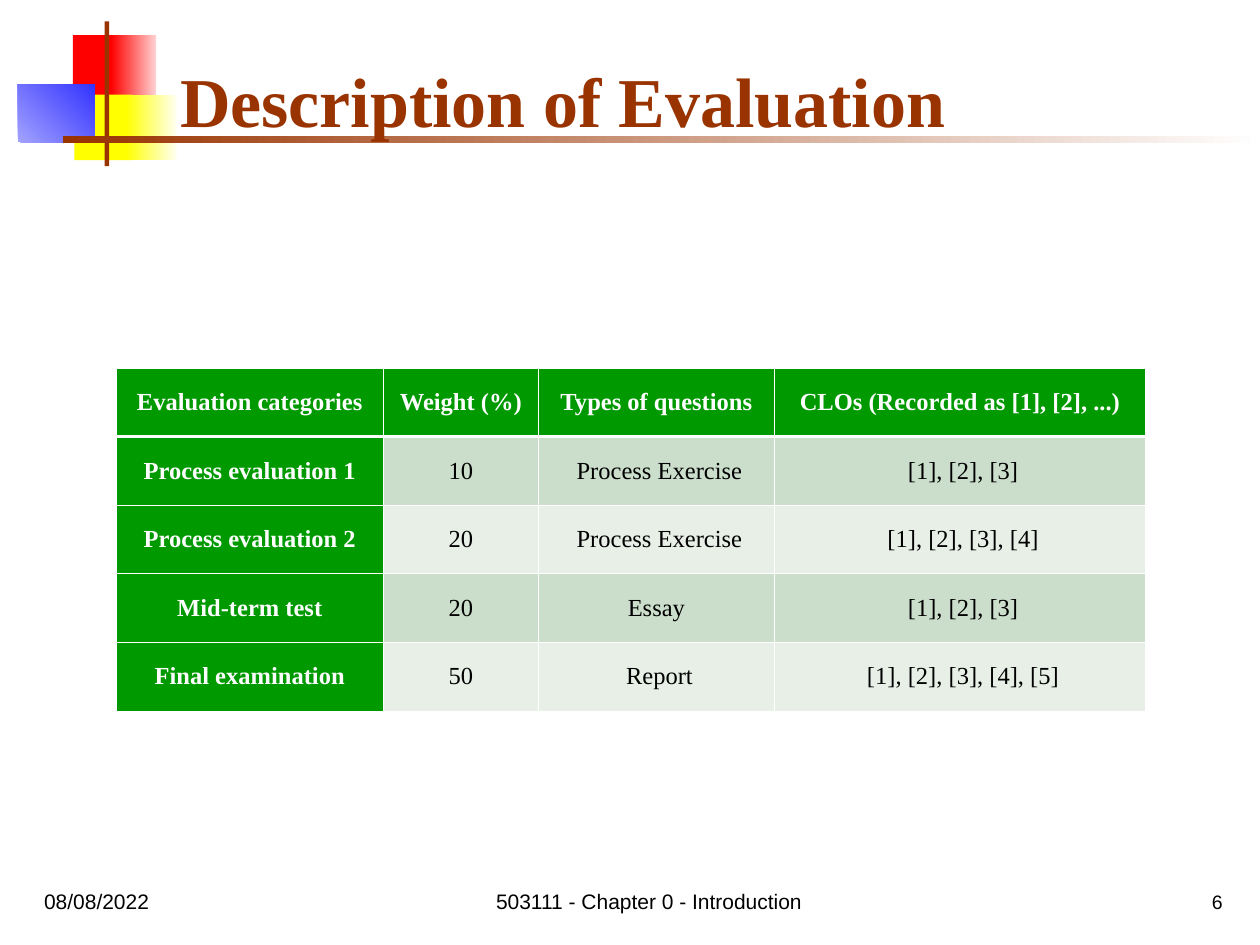
import pptx
import pptx.util
import pptx.dml.color
import pptx.enum.shapes
import pptx.enum.text
import pptx.oxml
import pptx.oxml.ns

Cm = pptx.util.Cm
Pt = pptx.util.Pt
ALIGN = pptx.enum.text.PP_ALIGN
ANCHOR = pptx.enum.text.MSO_ANCHOR
SERIF, SANS = "Times New Roman", "Arial"
BROWN, GREEN, WHITE, BLACK = "993300", "009900", "FFFFFF", "000000"
BANDS = ["CBDECB", "E7EFE7"]

ROWS = [
    ["Evaluation categories", "Weight (%)", "Types of questions",
     "CLOs (Recorded as [1], [2], ...)"],
    ["Process evaluation 1", "10", " Process Exercise", " [1], [2], [3]"],
    ["Process evaluation 2", "20", " Process Exercise", " [1], [2], [3], [4]"],
    ["Mid-term test", "20", "Essay", " [1], [2], [3]"],
    ["Final examination", "50", " Report", " [1], [2], [3], [4], [5]"],
]
# Column widths as shares of the table width
SHARES = [0.26, 0.15, 0.23, 0.36]


def color(code):
    return pptx.dml.color.RGBColor.from_string(code)


def write(frame, text, size=12, font=SANS, ink=BLACK, bold=False,
          align=ALIGN.LEFT, space=None):
    para = frame.paragraphs[0]
    para.alignment = align
    if space:
        para.line_spacing = space
    run = para.add_run()
    run.text = text
    run.font.size = Pt(size)
    run.font.name = font
    run.font.bold = bold
    run.font.color.rgb = color(ink)


def label(slide, box, text, anchor=ANCHOR.TOP, **style):
    frame = slide.shapes.add_textbox(*map(Cm, box)).text_frame
    frame.word_wrap = True
    frame.vertical_anchor = anchor
    write(frame, text, **style)


def block(slide, box, first, last=None, angle=0):
    """Draw a bare rectangle, shaded from first to last if both are given."""
    shape = slide.shapes.add_shape(
        pptx.enum.shapes.MSO_SHAPE.RECTANGLE, *map(Cm, box))
    shape.shadow.inherit = False
    shape.line.fill.background()
    if last is None:
        shape.fill.solid()
        shape.fill.fore_color.rgb = color(first)
        return
    shape.fill.gradient()
    shape.fill.gradient_angle = angle
    for stop, code in zip(shape.fill.gradient_stops, (first, last)):
        stop.color.rgb = color(code)


def header(slide, box, title):
    left, top, width, height = box
    # Coloured squares, offset from the corner of the header
    parts = [
        (1.11, 0.28, 0.89, 1.32, "FF0000"),
        (1.88, 0.28, 0.91, 1.32, "FF0000", "FFD1D1"),
        (1.14, 1.48, 1.17, 1.32, "FFFF00"),
        (2.18, 1.48, 1.02, 1.32, "FFFF00", "FFFFF0"),
        (0, 1.27, 1.55, 1.17, "A2A2FF", "3333FF", 45),
    ]
    for x, y, wide, high, *fill in parts:
        block(slide, (left + x, top + y, wide, high), *fill)
    # Crossing bars
    block(slide, (left + 1.75, top, 0.09, height), BROWN)
    block(slide, (left + 0.91, top + 2.31, width - 0.91, 0.14), BROWN, WHITE)
    # Title
    label(slide, (left + 3.02, top + 0.2, 21.64, 2.34), title, ANCHOR.BOTTOM,
          size=40, font=SERIF, ink=BROWN, bold=True)


def border(cell, widths):
    props = cell._tc.get_or_add_tcPr()
    for spot, (side, width) in enumerate(widths.items()):
        line = pptx.oxml.parse_xml(
            f'<a:ln{side} {pptx.oxml.ns.nsdecls("a")} w="{Pt(width)}">'
            f'<a:solidFill><a:srgbClr val="{WHITE}"/></a:solidFill>'
            f'</a:ln{side}>')
        props.insert(spot, line)


def grid(slide, box, rows):
    left, top, width, height = box
    table = slide.shapes.add_table(
        len(rows), len(rows[0]), *map(Cm, box)).table
    table.horz_banding = False
    for column, share in zip(table.columns, SHARES):
        column.width = Cm(width * share)
    for r, row in enumerate(rows):
        table.rows[r].height = Cm(height / len(rows))
        for c, text in enumerate(row):
            cell = table.cell(r, c)
            head = r == 0 or c == 0
            cell.margin_left = cell.margin_right = Cm(0.18)
            cell.vertical_anchor = ANCHOR.MIDDLE
            cell.fill.solid()
            cell.fill.fore_color.rgb = color(GREEN if head else BANDS[(r - 1) % 2])
            # The rule under the heading row is thicker
            border(cell, {"L": 0.45, "R": 0.45,
                          "T": 1.47 if r == 1 else 0.45,
                          "B": 1.47 if r == 0 else 0.45})
            write(cell.text_frame, text, size=14, font=SERIF, bold=head,
                  ink=WHITE if head else BLACK, align=ALIGN.CENTER)


def footer(slide, box, date, name, number):
    left, top, width, height = box
    label(slide, (left, top, 2.74, height), date)
    label(slide, (left + 9.11, top, 6.96, height), name)
    label(slide, (left + width - 4.78, top, 4.78, height), number,
          ANCHOR.BOTTOM, size=11.1, align=ALIGN.RIGHT, space=0.9)


def main():
    deck = pptx.Presentation()
    deck.slide_width, deck.slide_height = Cm(25.4), Cm(19.05)
    slide = deck.slides.add_slide(deck.slide_layouts[6])
    header(slide, (0.36, 0.43, 25.04, 2.92), "Description of Evaluation")
    footer(slide, (0.64, 17.78, 24.26, 0.76),
           "08/08/2022", "503111 - Chapter 0 - Introduction", "6")
    grid(slide, (2.34, 7.42, 20.75, 6.91), ROWS)
    deck.save("out.pptx")


if __name__ == "__main__":
    main()
